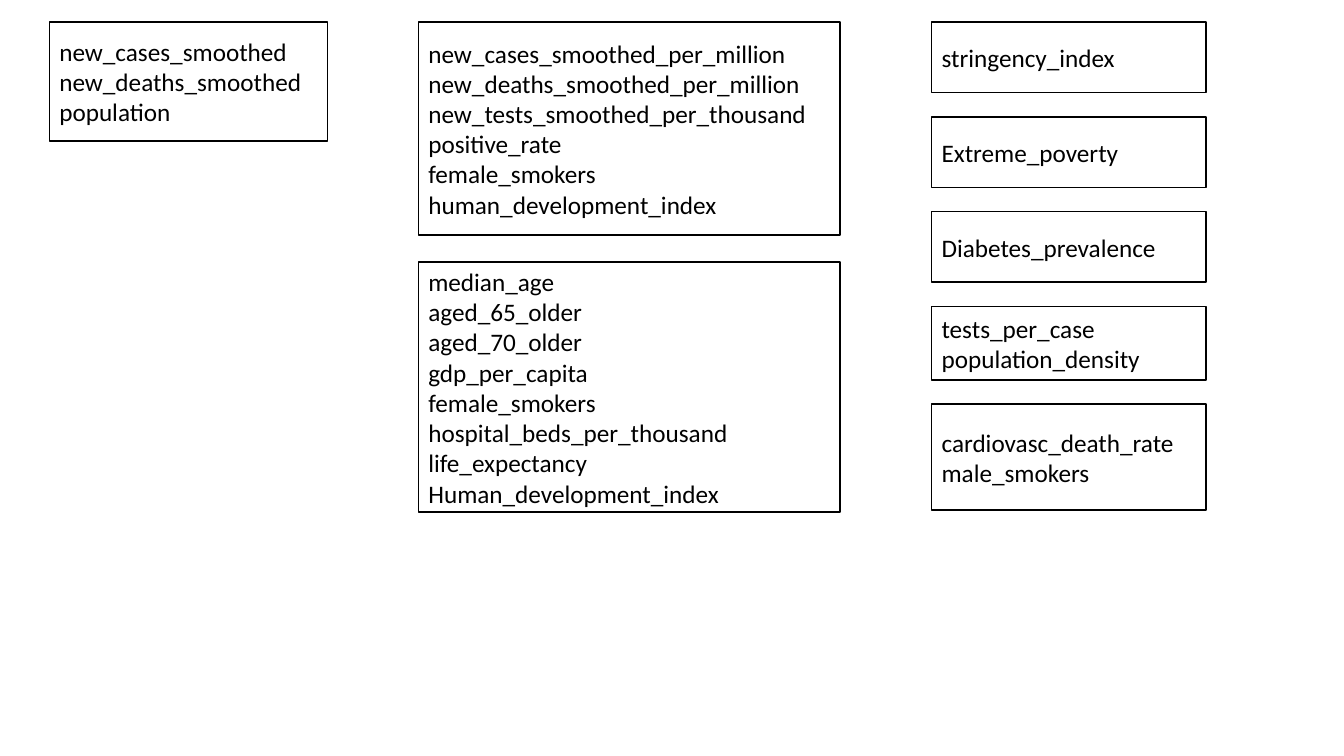
"""Build a slide that groups data set columns in three stacks of boxes."""
from pptx import Presentation, util as u
from pptx.dml.color import RGBColor
from pptx.enum import shapes, text

BLACK = RGBColor(0x00, 0x00, 0x00)
WHITE = RGBColor(0xFF, 0xFF, 0xFF)
CELL = u.Inches(0.1)  # side of one square of the grid
TOP = 2.2  # row where every stack starts

# Each stack: left column, width, gap, then (height, names) per box.
STACKS = [
    (4.9, 27.6, 0, [
        (11.8, ["new_cases_smoothed", "new_deaths_smoothed", "population"]),
    ]),
    (41.5, 41.8, 2.7, [
        (21.1, ["new_cases_smoothed_per_million",
                "new_deaths_smoothed_per_million",
                "new_tests_smoothed_per_thousand",
                "positive_rate", "female_smokers",
                "human_development_index"]),
        (24.8, ["median_age", "aged_65_older", "aged_70_older",
                "gdp_per_capita", "female_smokers",
                "hospital_beds_per_thousand", "life_expectancy",
                "Human_development_index"]),
    ]),
    (92.4, 27.2, 2.4, [
        (7, ["stringency_index"]),
        (7, ["Extreme_poverty"]),
        (7, ["Diabetes_prevalence"]),
        (7.3, ["tests_per_case", "population_density"]),
        (10.5, ["cardiovasc_death_rate", "male_smokers"]),
    ]),
]


class Board:
    """Holds the style and the current slide."""

    font, size, edge = "Calibri", u.Pt(18), u.Pt(1)

    def __init__(self, slide):
        """Keep the slide to draw on."""
        self.slide = slide

    def box(self, col, row, wide, high, names):
        """Draw one outlined box with a name on each line."""
        area = [round(n * CELL) for n in (col, row, wide, high)]
        box = self.slide.shapes.add_shape(
            shapes.MSO_SHAPE.RECTANGLE, *area)
        box.shadow.inherit = False
        box.fill.solid()
        box.fill.fore_color.rgb = WHITE
        box.line.color.rgb = BLACK
        box.line.width = self.edge
        frame = box.text_frame
        frame.word_wrap = True
        frame.vertical_anchor = text.MSO_ANCHOR.MIDDLE
        frame.text = "\n".join(names)
        for para in frame.paragraphs:
            para.alignment = text.PP_ALIGN.LEFT
            for run in para.runs:
                run.font.name = self.font
                run.font.size = self.size
                run.font.color.rgb = BLACK

    def stack(self, col, wide, gap, boxes):
        """Draw boxes below each other with equal gaps."""
        row = TOP
        for high, names in boxes:
            self.box(col, row, wide, high, names)
            row += high + gap


def main():
    """Make the deck and save it."""
    deck = Presentation()
    deck.slide_width, deck.slide_height = u.Inches(13.33), u.Inches(7.5)
    blank = deck.slide_layouts.get_by_name("Blank")
    board = Board(deck.slides.add_slide(blank))
    for stack in STACKS:
        board.stack(*stack)
    deck.save("out.pptx")


main()
